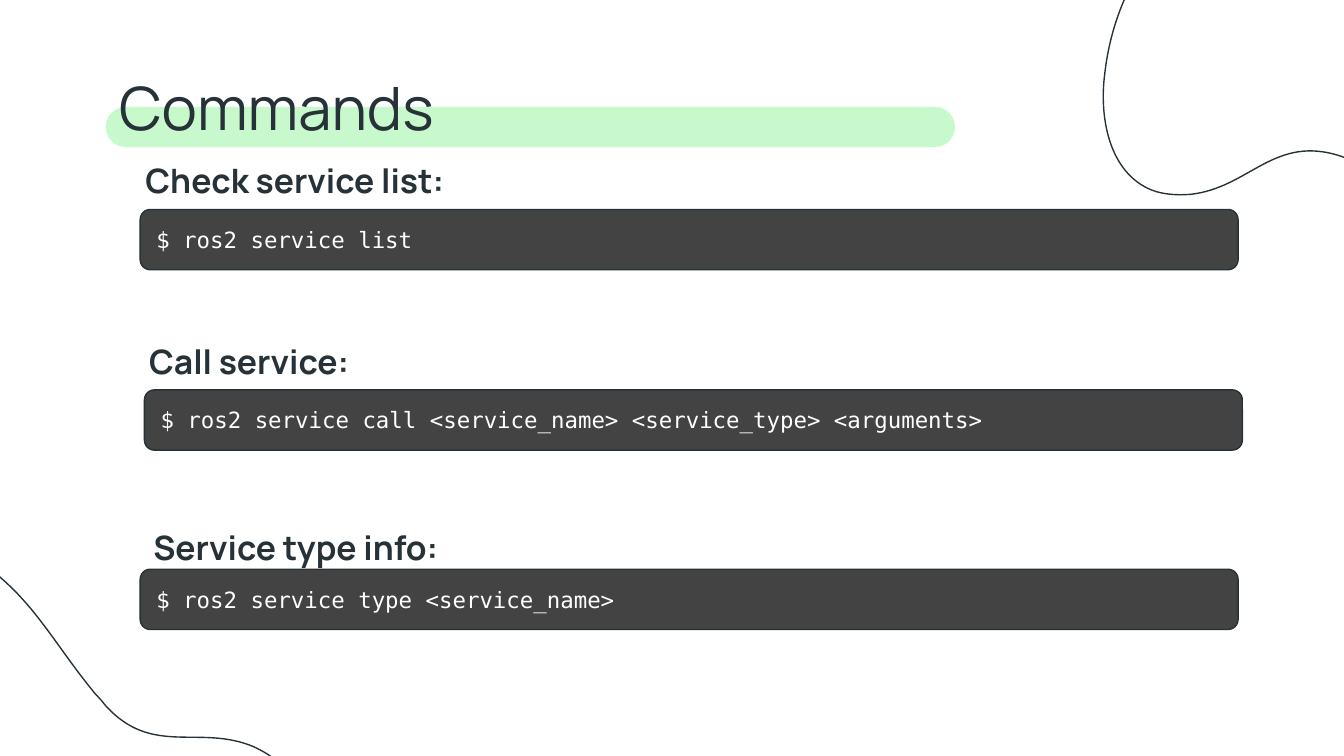
from itertools import chain

from lxml import etree
from pptx import Presentation
from pptx import util as u
from pptx.dml.color import RGBColor
from pptx.enum import shapes, text
from pptx.oxml.ns import qn

COLORS = {"ink": "263238", "highlight": "C7F9CC", "terminal": "434343", "code": "FFFFFF"}
HEADING_FONT = "Manrope"
CODE_FONT = "DejaVu Sans Mono"
INSET = u.Cm(0.25)

# Blob outline in cm: start point, then cubic curves (two handles and an end)
BLOB_START = (8.98, 0.02)
BLOB_CURVES = [
    [(8.77, 0.02), (8.52, 0.09), (8.27, 0.21)],
    [(7.27, 0.73), (7.21, 1.84), (5.87, 1.9)],
    [(5.73, 1.89), (5.6, 1.92), (5.47, 1.91)],
    [(4.84, 1.91), (4.24, 1.84), (3.67, 1.84)],
    [(2.96, 1.84), (2.29, 1.94), (1.56, 2.35)],
    [(0.27, 3.04), (0.01, 4.06), (0.27, 5.24)],
    [(0.68, 7.31), (2.46, 8.26), (4.51, 8.27)],
    [(5.37, 8.26), (6.28, 8.08), (7.16, 7.74)],
    [(9.96, 6.67), (11.25, 4.21), (10.6, 1.74)],
    [(10.42, 0.99), (9.88, 0.03), BLOB_START],
]

COMMANDS = [  # label, label left, label top, code, code left, code top
    ("Check service list:", 2.5, 2.78, "$ ros2 service list", 2.65, 3.96),
    ("Call service:", 2.57, 6.2,
     "$ ros2 service call <service_name> <service_type> <arguments>", 2.73, 7.37),
    ("Service type info:", 2.65, 9.71, "$ ros2 service type <service_name>", 2.65, 10.76),
]


def rgb(name):
    return RGBColor.from_string(COLORS[name])


def outline(shape):
    shape.line.color.rgb = rgb("ink")
    shape.line.width = u.Pt(0.75)


def write(shape, words, size, font, color, bold=False, anchor=text.MSO_ANCHOR.TOP):
    frame = shape.text_frame
    frame.word_wrap = True
    frame.vertical_anchor = anchor
    frame.margin_left = frame.margin_right = INSET
    frame.margin_top = frame.margin_bottom = INSET
    frame.text = words
    line = frame.paragraphs[0]
    line.alignment = text.PP_ALIGN.LEFT
    line.font.size = u.Pt(size)
    line.font.name = font
    line.font.bold = bold
    line.font.color.rgb = rgb(color)


def add_pill(slide, left, top, width, height, fill, rounding):
    pill = slide.shapes.add_shape(
        shapes.MSO_SHAPE.ROUNDED_RECTANGLE, left, top, width, height)
    pill.adjustments[0] = rounding
    pill.shadow.inherit = False
    pill.fill.solid()
    pill.fill.fore_color.rgb = rgb(fill)
    return pill


def bend(freeform):
    """Turn every three line segments into one cubic curve."""
    segments = list(freeform.element.iter(qn("a:lnTo")))
    for first in range(0, len(segments), 3):
        curve = etree.Element(qn("a:cubicBezTo"))
        segments[first].addprevious(curve)
        for segment in segments[first:first + 3]:
            curve.append(segment[0])
            segment.getparent().remove(segment)


def add_blob(slide, left, top, rotation):
    builder = slide.shapes.build_freeform(u.Cm(BLOB_START[0]), u.Cm(BLOB_START[1]))
    builder.add_line_segments(
        [(u.Cm(x), u.Cm(y)) for x, y in chain.from_iterable(BLOB_CURVES)], close=True)
    blob = builder.convert_to_shape(left, top)
    bend(blob)
    blob.rotation = rotation
    blob.shadow.inherit = False
    blob.fill.background()
    outline(blob)


def add_title(slide, left, top, width, height):
    # Highlight bar behind the lower part of the title
    bar = add_pill(slide, left, top + u.Cm(0.94), u.Cm(16.05), u.Cm(0.76), "highlight", 0.5)
    bar.line.fill.background()
    title = slide.shapes.add_textbox(left, top, width, height)
    write(title, "Commands", 32, HEADING_FONT, "ink")


def add_label(slide, left, top, width, height, words):
    label = slide.shapes.add_textbox(left, top, width, height)
    write(label, words, 18, HEADING_FONT, "ink", bold=True)


def add_terminal(slide, left, top, width, height, code):
    terminal = add_pill(slide, left, top, width, height, "terminal", 0.167)
    outline(terminal)
    write(terminal, code, 12, CODE_FONT, "code", anchor=text.MSO_ANCHOR.MIDDLE)


def main():
    deck = Presentation()
    deck.slide_width, deck.slide_height = u.Cm(25.4), u.Cm(14.29)
    slide = deck.slides.add_slide(deck.slide_layouts[6])

    # Corner blobs
    add_blob(slide, u.Cm(20.75), u.Cm(-3.2), 201)
    add_blob(slide, u.Cm(-5.54), u.Cm(10.41), 50.9)

    add_title(slide, u.Cm(2), u.Cm(1.08), u.Cm(21.41), u.Cm(1.7))

    # Labels, then the commands over them
    for label, left, top, *_ in COMMANDS:
        add_label(slide, u.Cm(left), u.Cm(top), u.Cm(15.9), u.Cm(1.17), label)
    for *_, code, left, top in COMMANDS:
        add_terminal(slide, u.Cm(left), u.Cm(top), u.Cm(20.75), u.Cm(1.14), code)

    deck.save("out.pptx")


if __name__ == "__main__":
    main()
